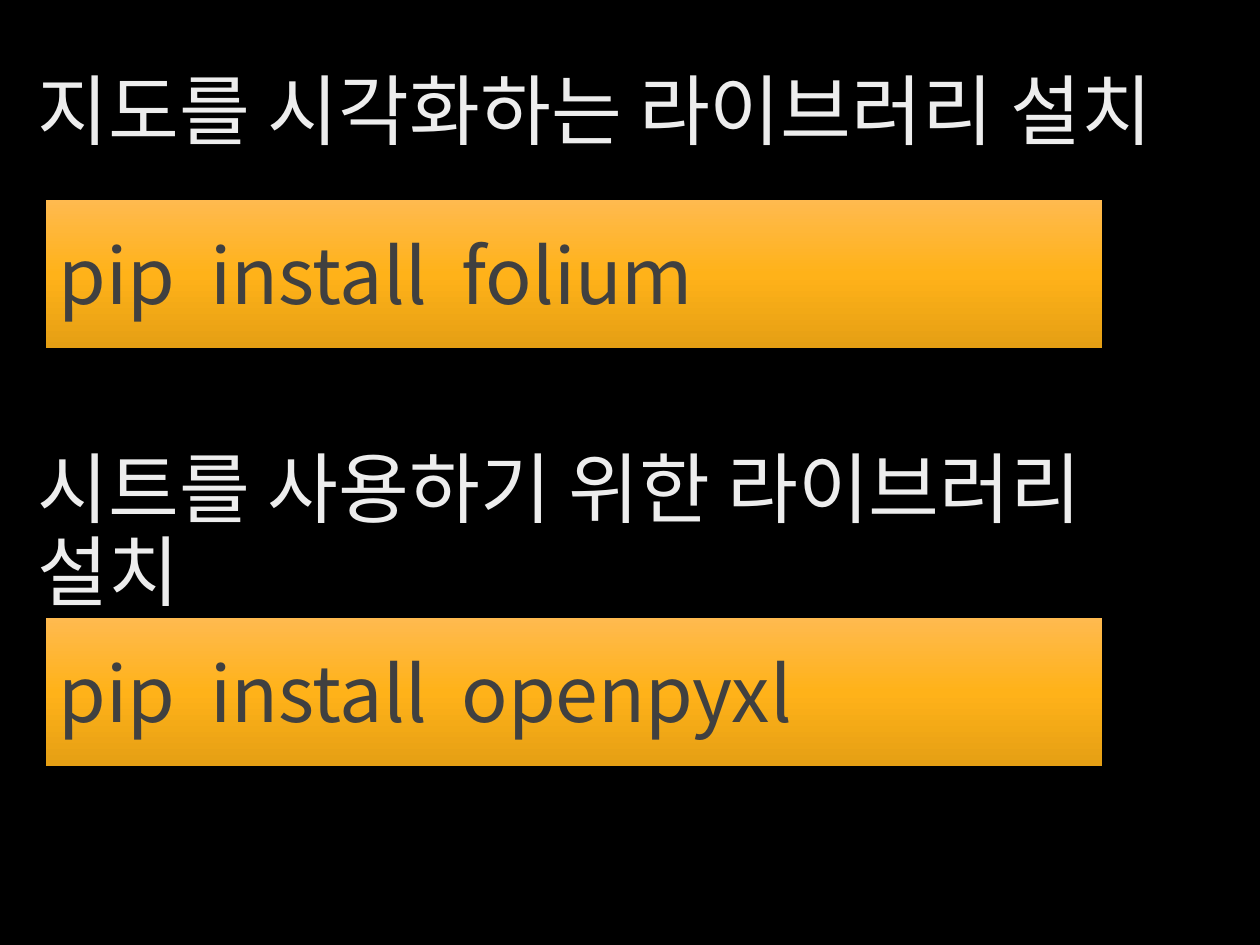
"""Build a slide with two library installation commands."""
from copy import deepcopy
from dataclasses import dataclass

from lxml.etree import SubElement
from pptx import Presentation
from pptx.dml.color import RGBColor
from pptx.enum.shapes import MSO_SHAPE as Shape
from pptx.enum.text import MSO_ANCHOR as Anchor, MSO_AUTO_SIZE as AutoSize, PP_ALIGN as Align
from pptx.oxml.ns import qn
from pptx.util import Pt

EMU_PER_PX = 914400 / 126
FONT = "Noto Sans CJK KR"
BAR_STOPS = ((0, "FFBA4F"), (0.5, "FFB219"), (1, "E59F14"))


@dataclass
class Step:
    heading: str
    heading_top: int
    command: str
    command_top: int


STEPS = (
    Step("지도를 시각화하는 라이브러리 설치", 43, "pip  install  folium", 200),
    Step("시트를 사용하기 위한 라이브러리 설치", 462, "pip  install  openpyxl", 618),
)


def px(length: int) -> int:
    return round(length * EMU_PER_PX)


def color(value: str) -> RGBColor:
    return RGBColor.from_string(value)


def apply(target, values: dict) -> None:
    for name, value in values.items():
        setattr(target, name, value)


def place(shape, left: int, top: int, width: int, height: int) -> None:
    apply(shape, {"left": px(left), "top": px(top), "width": px(width), "height": px(height)})


def write(shape, text: str, text_color: str, margin: int, spacing: float) -> None:
    frame = shape.text_frame
    apply(frame, {
        "word_wrap": True, "auto_size": AutoSize.NONE, "vertical_anchor": Anchor.MIDDLE,
        "margin_left": px(13), "margin_right": px(13),
        "margin_top": px(margin), "margin_bottom": px(margin),
    })
    paragraph = frame.paragraphs[0]
    apply(paragraph, {"alignment": Align.LEFT, "line_spacing": spacing})
    run = paragraph.add_run()
    run.text = text
    apply(run.font, {"name": FONT, "size": Pt(44)})
    run.font.color.rgb = color(text_color)
    SubElement(run.font._element, qn("a:ea")).set("typeface", FONT)


def draw_heading(shape, text: str, top: int) -> None:
    place(shape, 25, top, 1201, 144)
    write(shape, text, "EDEDED", 6, 0.9)


def draw_command(slide, text: str, top: int) -> None:
    shape = slide.shapes.add_shape(Shape.RECTANGLE, 0, 0, 0, 0)
    place(shape, 46, top, 1056, 148)
    shape.shadow.inherit = False
    shape.line.fill.background()
    shape.fill.gradient()
    shape.fill.gradient_angle = 270
    stop_list = shape._element.spPr.find(".//" + qn("a:gsLst"))
    stop_list.append(deepcopy(stop_list[-1]))
    for stop, (position, value) in zip(shape.fill.gradient_stops, BAR_STOPS):
        stop.position = position
        stop.color.rgb = color(value)
    write(shape, text, "404040", 15, 1.0)


def main() -> None:
    presentation = Presentation()
    apply(presentation, {"slide_width": px(1260), "slide_height": px(945)})
    slide = presentation.slides.add_slide(presentation.slide_layouts[5])
    slide.background.fill.solid()
    slide.background.fill.fore_color.rgb = color("000000")
    for index, step in enumerate(STEPS):
        heading = slide.shapes.add_textbox(0, 0, 0, 0) if index else slide.shapes.title
        draw_heading(heading, step.heading, step.heading_top)
        draw_command(slide, step.command, step.command_top)
    presentation.save("out.pptx")


if __name__ == "__main__":
    main()
